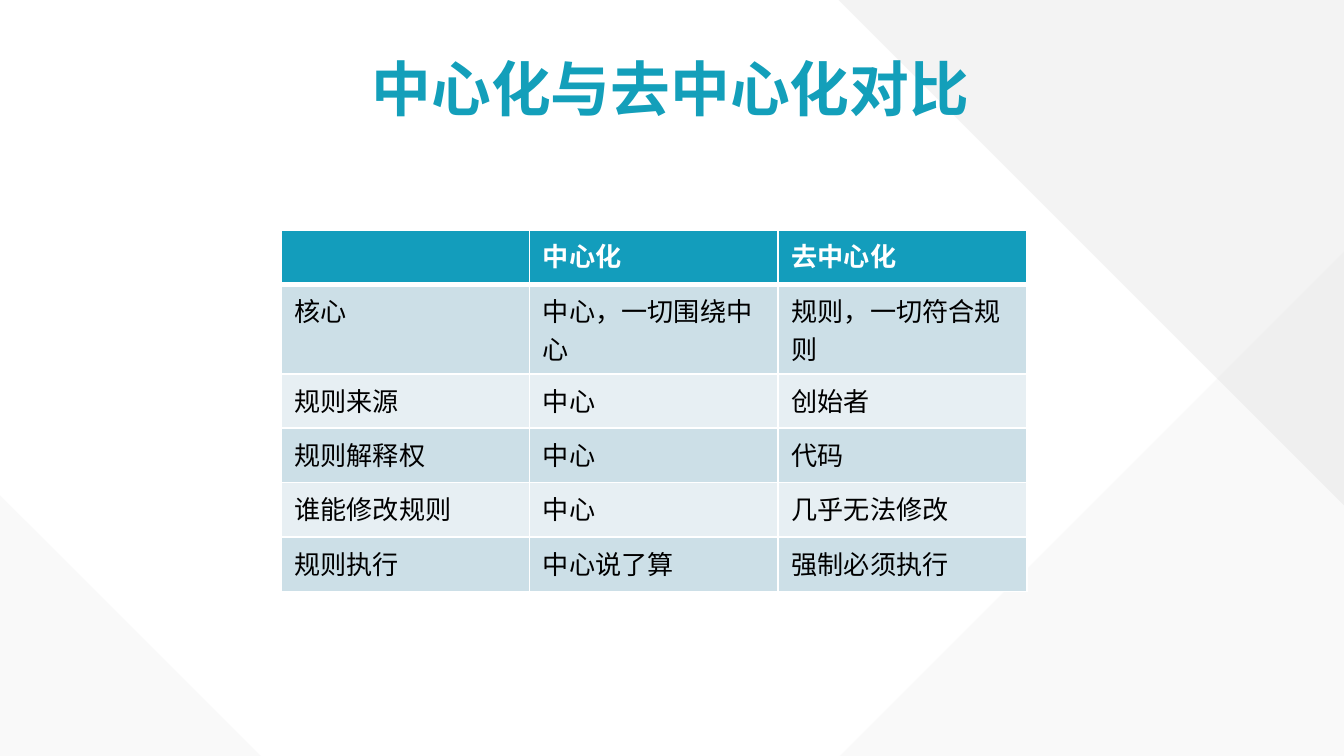
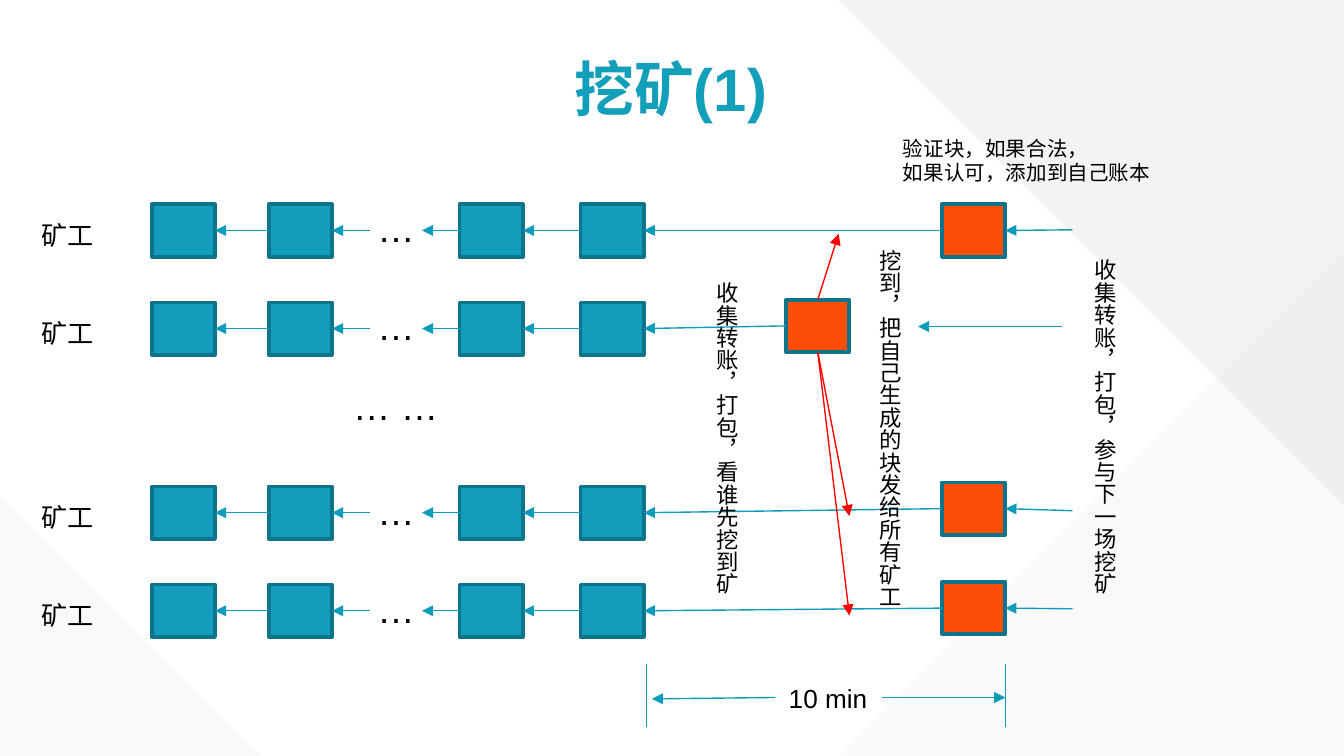
import pptx
import pptx.dml.color
import pptx.enum.shapes
import pptx.enum.text
import pptx.oxml.ns
import pptx.util
import lxml.etree

inch = pptx.util.Inches
rgb = pptx.dml.color.RGBColor.from_string
qn = pptx.oxml.ns.qn
SHAPE = pptx.enum.shapes.MSO_SHAPE

TITLE, TEAL, EDGE, LINE = "139FBA", "139DBC", "0E748B", "0E9CBC"
ORANGE, RED, BLACK, WHITE, GREY = "FC4E07", "FF0000", "000000", "FFFFFF", "D9D9D9"
BANDS = ["E7EFF3", "CCDFE7"]
WIDTH = 10
HEIGHT = WIDTH * 9 / 16


def style_text(para, size, color, bold=False):
    para.font.name = "Arial"
    para.font.size = pptx.util.Pt(size)
    para.font.bold = bold
    para.font.color.rgb = rgb(color)


def draw_line(page, start, end, color=LINE, arrow=True):
    """Each end is a point (x, y) in inches or a joint (shape, site)."""
    line = page.shapes.add_connector(pptx.enum.shapes.MSO_CONNECTOR.STRAIGHT, 0, 0, 0, 0)
    if isinstance(start[0], (int, float)):
        line.begin_x, line.begin_y = inch(start[0]), inch(start[1])
    else:
        line.begin_connect(*start)
    if isinstance(end[0], (int, float)):
        line.end_x, line.end_y = inch(end[0]), inch(end[1])
    else:
        line.end_connect(*end)
    line.line.color.rgb = rgb(color)
    line.line.width = pptx.util.Pt(0.75)
    if arrow:
        outline = line.element.spPr.find(qn("a:ln"))
        lxml.etree.SubElement(outline, qn("a:tailEnd"), type="triangle")
    lxml.etree.SubElement(line.element.spPr, qn("a:effectLst"))


deck = pptx.Presentation()
deck.slide_width, deck.slide_height = inch(WIDTH), inch(HEIGHT)
layout = deck.slide_layouts[5]

# Titles
pages = []
for heading in ["中心化与去中心化对比", "挖矿(1)"]:
    page = deck.slides.add_slide(layout)
    title = page.shapes.title
    title.left, title.top, title.width, title.height = map(inch, (0.18, 0.22, 9.62, 0.87))
    frame = title.text_frame
    frame.text = heading
    frame.vertical_anchor = pptx.enum.text.MSO_ANCHOR.MIDDLE
    frame.margin_left = frame.margin_right = frame.margin_top = frame.margin_bottom = inch(0.1)
    frame.paragraphs[0].alignment = pptx.enum.text.PP_ALIGN.CENTER
    style_text(frame.paragraphs[0], 32, TITLE, bold=True)
    pages.append(page)
compare_page, mining_page = pages

# Corner triangles, shared through the layout: left, top, side, flip, turn, opacity
corners = [
    (WIDTH - 3.75, HEIGHT - 3.76, 3.76, True, 0, 14),
    (0, HEIGHT - 1.94, 1.94, False, 0, 14),
    (WIDTH - 3.76, 0, 3.76, False, 180, 30),
]
for index, (left, top, side, flip, turn, opacity) in enumerate(corners):
    corner = compare_page.shapes.add_shape(
        SHAPE.RIGHT_TRIANGLE, inch(left), inch(top), inch(side), inch(side))
    corner.shadow.inherit = False
    corner.rotation = turn
    corner.line.fill.background()
    corner.fill.solid()
    corner.fill.fore_color.rgb = rgb(GREY)
    tint = corner.element.spPr.find(".//" + qn("a:srgbClr"))
    lxml.etree.SubElement(tint, qn("a:alpha"), val=str(opacity * 1000))
    if flip:
        corner.element.spPr.find(qn("a:xfrm")).set("flipH", "1")
    corner.element.nvSpPr.cNvPr.set("id", str(100 + index))
    layout.shapes.element.insert(2 + index, corner.element)

# Comparison table
rows = [
    ["", "中心化", "去中心化"],
    ["核心", "中心，一切围绕中心", "规则，一切符合规则"],
    ["规则来源", "中心", "创始者"],
    ["规则解释权", "中心", "代码"],
    ["谁能修改规则", "中心", "几乎无法修改"],
    ["规则执行", "中心说了算", "强制必须执行"],
]
ROW_HEIGHT = 0.81 / 2
row_heights = [ROW_HEIGHT, 0.66] + 4 * [ROW_HEIGHT]
table = compare_page.shapes.add_table(
    len(rows), 3, inch(2.09), inch(1.71), inch(3 * 1.85), inch(sum(row_heights))).table
for column in table.columns:
    column.width = inch(1.85)
for r, texts in enumerate(rows):
    table.rows[r].height = inch(row_heights[r])
    for c, text in enumerate(texts):
        cell = table.cell(r, c)
        cell.text = text
        style_text(cell.text_frame.paragraphs[0], 14, BLACK if r else WHITE, bold=r == 0)
        properties = cell._tc.get_or_add_tcPr()
        for side in ["lnL", "lnR", "lnT", "lnB"]:
            thick = (r, side) in [(0, "lnB"), (1, "lnT")]
            border = lxml.etree.SubElement(
                properties, qn("a:" + side), w=str(pptx.util.Pt(3 if thick else 1)))
            paint = lxml.etree.SubElement(border, qn("a:solidFill"))
            lxml.etree.SubElement(paint, qn("a:srgbClr"), val=WHITE)
        cell.fill.solid()
        cell.fill.fore_color.rgb = rgb(BANDS[r % 2] if r else TEAL)

# Chains of blocks: row top, left and top of the newly mined block
BLOCK_WIDTH, BLOCK_HEIGHT = 0.47, 0.39
chain_columns = [1.13, 2, 3.42, 4.32]
miners = [(1.52, 7.01, 1.52), (2.25, 5.85, 2.23), (3.62, 7.01, 3.59), (4.35, 7.01, 4.33)]
captions = []  # text, left, top, width, height, size, vertical, wrap
mined_blocks = []
for top, mined_left, mined_top in miners:
    places = [(left, top, TEAL) for left in chain_columns] + [(mined_left, mined_top, ORANGE)]
    blocks = []
    for left, block_top, color in places:
        block = mining_page.shapes.add_shape(
            SHAPE.RECTANGLE, inch(left), inch(block_top), inch(BLOCK_WIDTH), inch(BLOCK_HEIGHT))
        block.shadow.inherit = False
        block.fill.solid()
        block.fill.fore_color.rgb = rgb(color)
        block.line.color.rgb = rgb(EDGE)
        block.line.width = pptx.util.Pt(2)
        blocks.append(block)
    middle = top + BLOCK_HEIGHT / 2
    for later, earlier in [(1, 0), (3, 2), (4, 3)]:
        draw_line(mining_page, (blocks[later], 1), (blocks[earlier], 3))
    draw_line(mining_page, (2.75, middle), (blocks[1], 3))
    draw_line(mining_page, (blocks[2], 1), (3.14, middle))
    captions.append(("矿工", 0.21, top + 0.06, 0.59, 0.34, 14, False, False))
    captions.append(("…", 2.71, top - 0.04, 0.48, 0.44, 20, False, False))
    mined_blocks.append(blocks[4])

# The next round of mining
for miner, y in [(0, 1.71), (2, 3.8), (3, 4.53)]:
    draw_line(mining_page, (7.98, y), (mined_blocks[miner], 3))
draw_line(mining_page, (7.9, 2.43), (6.83, 2.43))

# The winner sends its block to the other miners
for site, target in [(0, (6.24, 1.74)), (2, (6.32, 3.84)), (2, (6.32, 4.58))]:
    draw_line(mining_page, (mined_blocks[1], site), target, RED)

# Time span
for x in (4.81, 7.48):
    draw_line(mining_page, (x, 4.94), (x, 5.41), arrow=False)
draw_line(mining_page, (6.56, 5.19), (7.48, 5.19))
draw_line(mining_page, (5.77, 5.19), (4.85, 5.2))

# Captions
captions += [
    ("… …", 2.53, 2.8, 0.84, 0.44, 20, False, False),
    ("收集转账，打包，看谁先挖到矿", 5.16, 2, 0.4, 2.46, 12, True, False),
    ("挖到，把自己生成的块发给所有矿工", 6.37, 1.76, 0.4, 2.79, 12, True, False),
    ("收集转账，打包，参与下一场挖矿", 7.97, 1.83, 0.4, 3.15, 12, True, True),
    ("验证块，如果合法，\n如果认可，添加到自己账本", 6.62, 0.96, 2.05, 0.47, 11, False, False),
    ("10 min", 5.77, 5.03, 0.79, 0.34, 14, False, False),
]
for text, left, top, width, height, size, vertical, wrap in captions:
    box = mining_page.shapes.add_textbox(inch(left), inch(top), inch(width), inch(height))
    box.text_frame.text = text
    box.text_frame.word_wrap = wrap
    box.text_frame.auto_size = pptx.enum.text.MSO_AUTO_SIZE.SHAPE_TO_FIT_TEXT
    if vertical:
        box.element.txBody.find(qn("a:bodyPr")).set("vert", "eaVert")
    for para in box.text_frame.paragraphs:
        style_text(para, size, BLACK)

deck.save("out.pptx")
